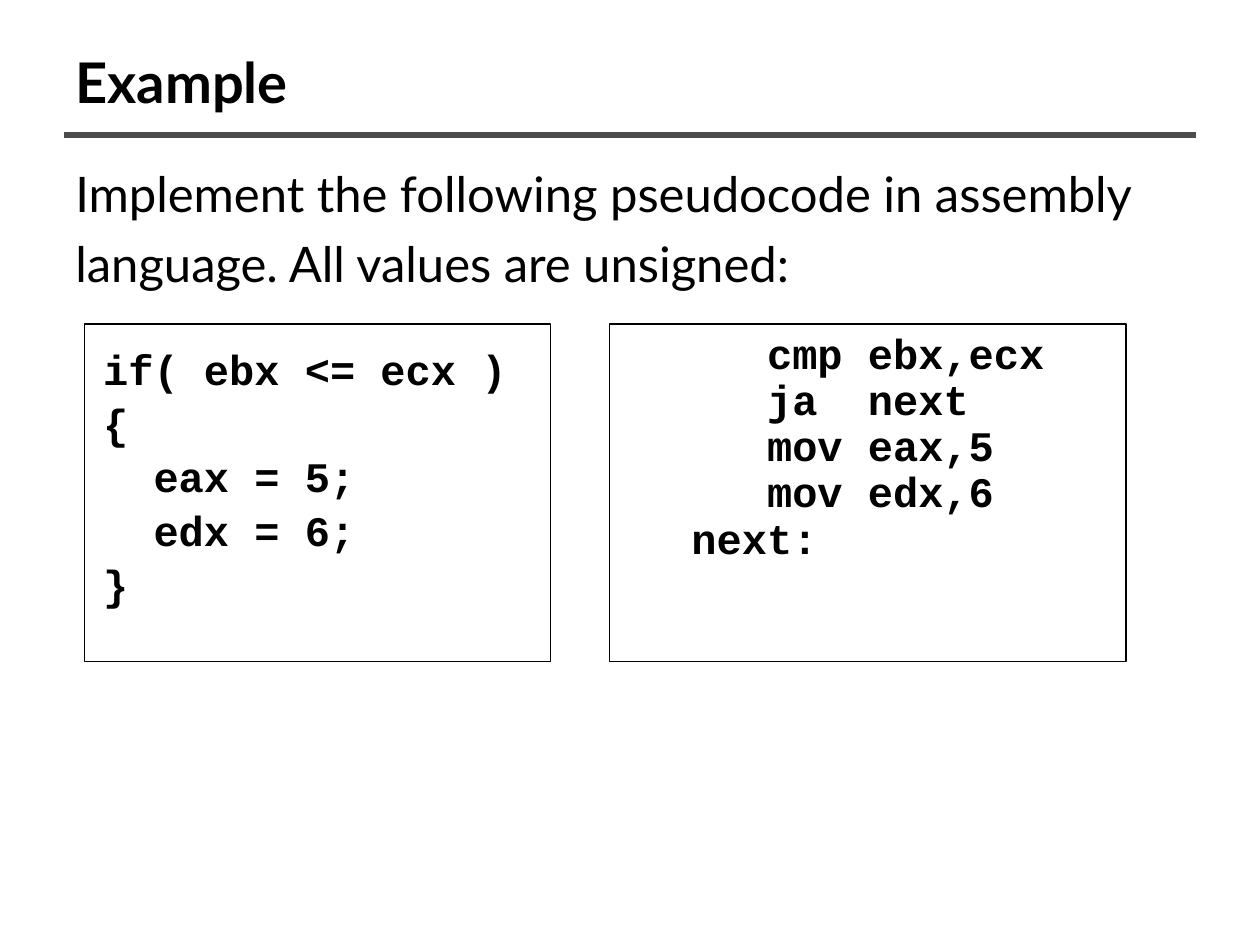
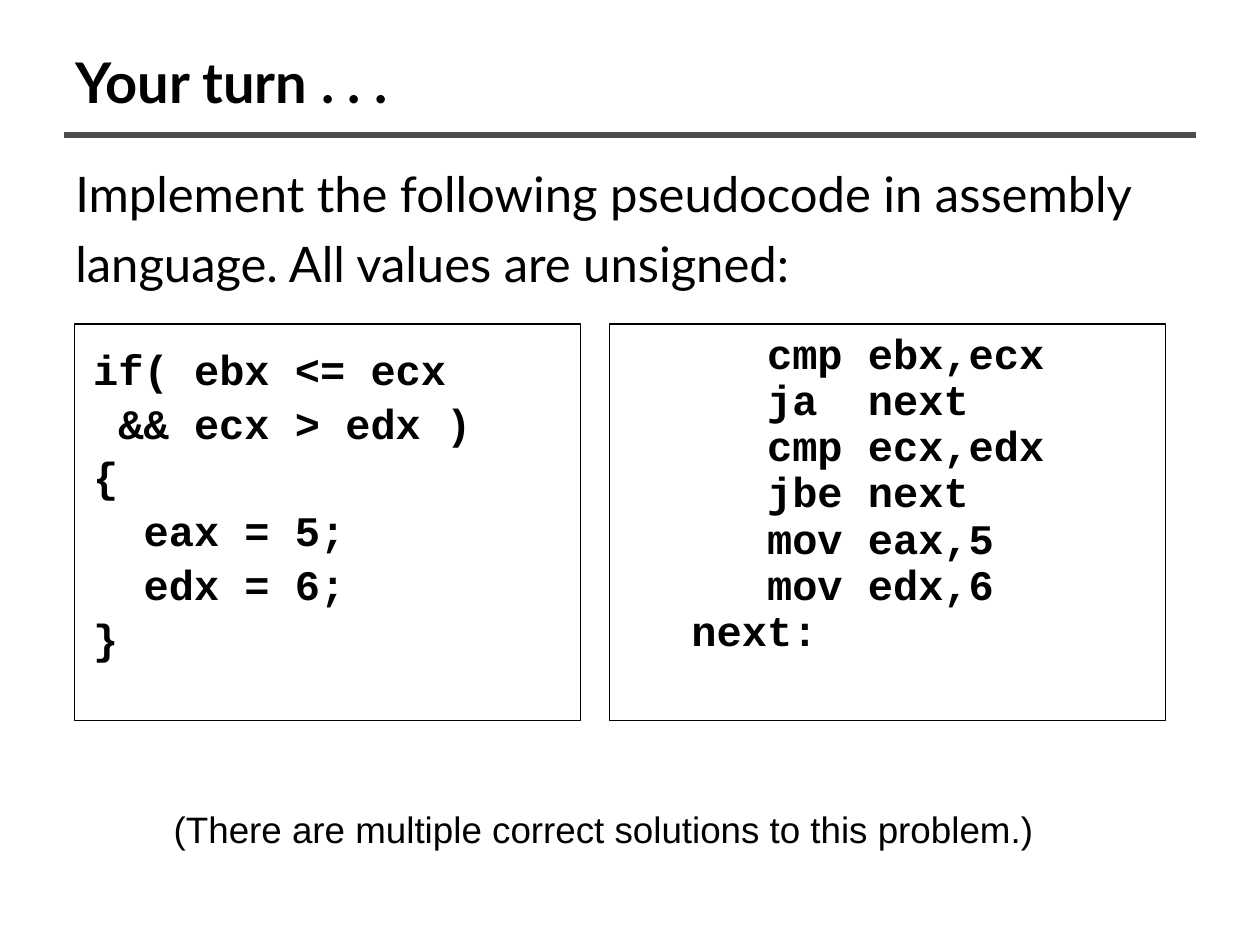
from lxml import etree
from pptx import Presentation
from pptx.dml.color import RGBColor
from pptx.enum.shapes import MSO_CONNECTOR, MSO_SHAPE
from pptx.enum.text import MSO_ANCHOR, MSO_AUTO_SIZE, PP_ALIGN
from pptx.oxml.ns import qn
from pptx.util import Cm, Pt

BLACK = RGBColor(0x00, 0x00, 0x00)
GREY = RGBColor(0x4D, 0x4D, 0x4D)
LATO, MONO, ARIAL = "Lato", "Courier New", "Arial"
RECT, STRAIGHT = MSO_SHAPE.RECTANGLE, MSO_CONNECTOR.STRAIGHT
TOP, MIDDLE = MSO_ANCHOR.TOP, MSO_ANCHOR.MIDDLE
LEFT, CENTER = PP_ALIGN.LEFT, PP_ALIGN.CENTER
NO_FIT = MSO_AUTO_SIZE.NONE

CHAR_CM = 0.508
CODE_TOP = 6.53
ASM_LEFT = 12.29
TASK = ("Implement the following pseudocode in assembly language. "
        "All values are unsigned:")


def write(tf, text, font=LATO, size=28, bold=False, align=LEFT, anchor=TOP,
          line=1.0, before=0, indent=0, inset=(0.25, 0.13)):
    """Fill a text frame, turning each line's leading spaces into an indent."""
    tf.word_wrap = True
    tf.auto_size = NO_FIT
    tf.vertical_anchor = anchor
    tf.margin_left = tf.margin_right = Cm(inset[0])
    tf.margin_top = tf.margin_bottom = Cm(inset[1])
    for i, row in enumerate(text.split("\n")):
        p = tf.add_paragraph() if i else tf.paragraphs[0]
        p.alignment = align
        p.line_spacing = line
        pPr = p._p.get_or_add_pPr()
        body = row.lstrip()
        pPr.set("marL", str(Cm(indent + CHAR_CM * (len(row) - len(body)))))
        pPr.set("indent", "0")
        if before:
            spacing = pPr.get_or_add_spcBef()
            etree.SubElement(spacing, qn("a:spcPct")).set("val", str(before * 1000))
        r = p.add_run()
        r.text = body
        r.font.name = font
        r.font.size = Pt(size)
        r.font.bold = bold
        r.font.color.rgb = BLACK


class Deck:
    """Hold the presentation, its shared style and the current slide."""

    def __init__(self):
        self.prs = Presentation()
        self.prs.slide_width = Cm(25.4)
        self.prs.slide_height = Cm(19.05)
        self.s = None

    def slide(self, title):
        self.s = self.prs.slides.add_slide(self.prs.slide_layouts[5])
        self.rule()
        sp = self.s.shapes.title
        sp.left, sp.top, sp.width, sp.height = Cm(1.27), Cm(0.76), Cm(22.86), Cm(1.75)
        write(sp.text_frame, title, size=32, bold=True, anchor=MIDDLE)

    def rule(self):
        y = Cm(2.72)
        sp = self.s.shapes.add_connector(STRAIGHT, Cm(1.3), y, Cm(24.1), y)
        sp.line.color.rgb = GREY
        sp.line.width = Pt(3)
        etree.SubElement(sp._element.spPr, qn("a:effectLst"))

    def text(self, x, y, w, h, text, **style):
        sp = self.s.shapes.add_textbox(Cm(x), Cm(y), Cm(w), Cm(h))
        write(sp.text_frame, text, **style)

    def task(self):
        self.text(1.27, 2.92, 22.86, 3.2, TASK, line=1.2, before=20)

    def code(self, x, w, h, text, **style):
        sp = self.s.shapes.add_shape(RECT, Cm(x), Cm(CODE_TOP), Cm(w), Cm(h))
        sp.shadow.inherit = False
        sp.fill.background()
        sp.line.color.rgb = BLACK
        sp.line.width = Pt(0.75)
        write(sp.text_frame, text, font=MONO, size=24, bold=True,
              inset=(0.38, 0.51), **style)

    def pseudocode(self, x, w, h, text):
        self.code(x, w, h, text, line=0.9, before=20)

    def assembly(self, w, h, text):
        self.code(ASM_LEFT, w, h, text, line=0.5, before=50, indent=1.27)


def main():
    deck = Deck()

    deck.slide("Example")
    deck.task()
    deck.assembly(10.41, 6.81, "   cmp ebx,ecx\n   ja  next\n   mov eax,5\n"
                               "   mov edx,6\nnext:")
    deck.pseudocode(1.7, 9.4, 6.81, "if( ebx <= ecx )\n{\n  eax = 5;\n  edx = 6;\n}")

    deck.slide("Your turn . . .")
    deck.task()
    deck.assembly(11.2, 8, "   cmp ebx,ecx\n   ja  next\n   cmp ecx,edx\n   jbe next\n"
                           "   mov eax,5\n   mov edx,6\nnext:")
    deck.pseudocode(1.5, 10.21, 8, "if( ebx <= ecx\n && ecx > edx )\n{\n"
                                   "  eax = 5;\n  edx = 6;\n}")
    deck.text(2.11, 15.88, 20.12, 1.65,
              "(There are multiple correct solutions to this problem.)",
              font=ARIAL, size=21, align=CENTER, before=50, inset=(0.25, 0.38))

    deck.prs.save("out.pptx")


if __name__ == "__main__":
    main()
